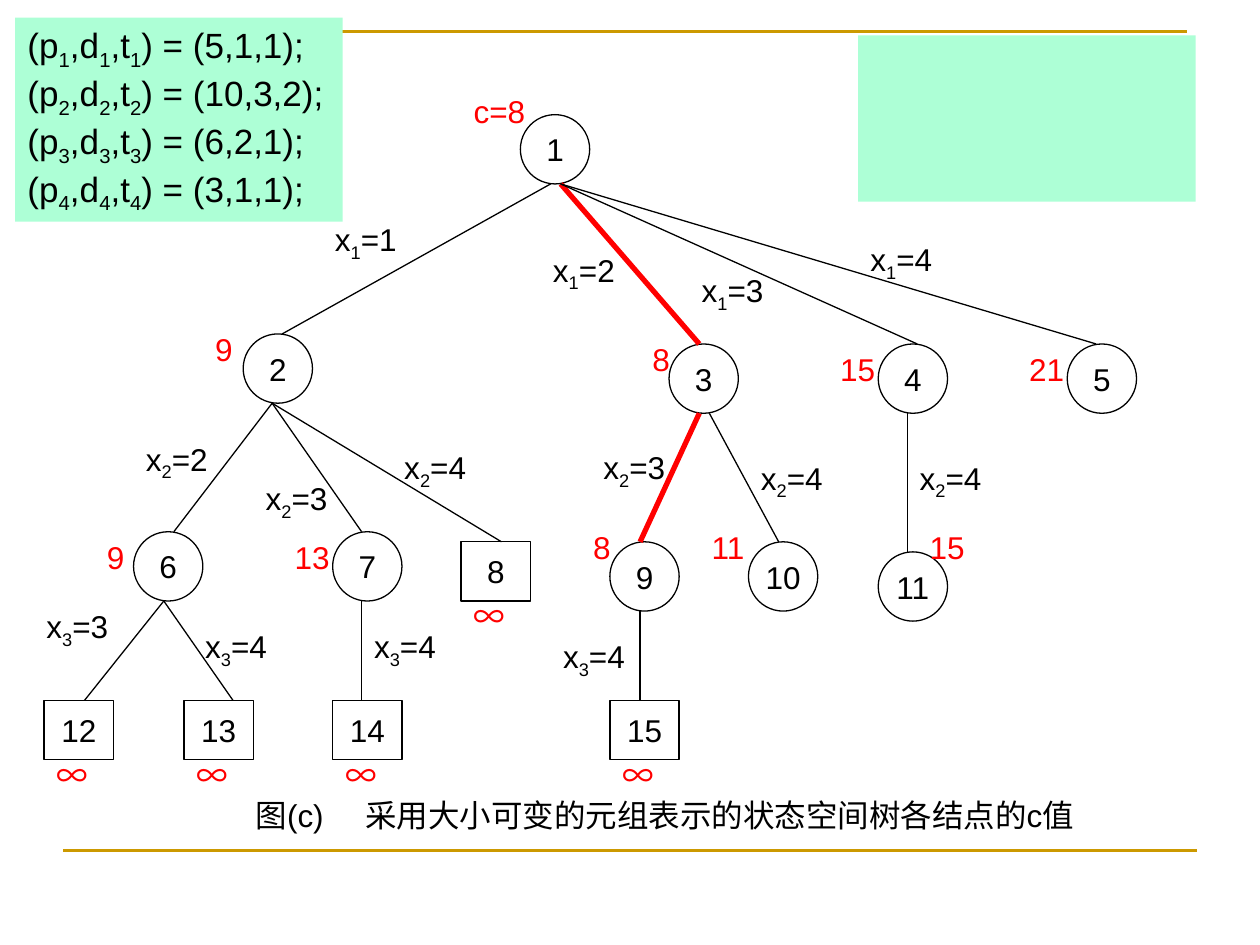
from lxml.etree import SubElement
from pptx import Presentation
from pptx.dml.color import RGBColor
from pptx.enum.shapes import MSO_CONNECTOR as LINK, MSO_SHAPE as SHAPE
from pptx.enum.text import MSO_ANCHOR as ANCHOR, PP_ALIGN as ALIGN
from pptx.oxml.ns import qn
from pptx.util import Inches, Pt

BLACK = RGBColor(0x00, 0x00, 0x00)
RED = RGBColor(0xFF, 0x00, 0x00)
GOLD = RGBColor(0xCC, 0x99, 0x00)
MINT = RGBColor(0xAD, 0xFF, 0xD6)
LATIN, CJK = "Arial", "Noto Sans CJK SC"
SIZE, CIRCLE_H, SQUARE_H = 0.55, 0.55, 0.47

# number: (left, top)
CIRCLES = {
    1: (4.13, 0.91), 2: (1.93, 2.65), 3: (5.31, 2.73), 4: (6.97, 2.73),
    5: (8.47, 2.73), 6: (1.06, 4.22), 7: (2.64, 4.22), 9: (4.84, 4.3),
    10: (5.94, 4.3), 11: (6.97, 4.38),
}
SQUARES = {
    8: (3.66, 4.3), 12: (0.35, 5.56), 13: (1.46, 5.56),
    14: (2.64, 5.56), 15: (4.84, 5.56),
}
# parent, child, x at parent, x at child, label, label left, label top
EDGES = [
    (1, 2, 4.37, 2.24, "x_1=1", 2.56, 1.7),
    (1, 3, 4.45, 5.55, "x_1=2", 4.29, 1.94),
    (1, 4, 4.45, 7.28, "x_1=3", 5.47, 2.1),
    (1, 5, 4.45, 8.7, "x_1=4", 6.81, 1.86),
    (2, 6, 2.16, 1.38, "x_2=2", 1.06, 3.44),
    (2, 7, 2.16, 2.87, "x_2=3", 2.01, 3.75),
    (2, 8, 2.16, 3.98, "x_2=4", 3.11, 3.51),
    (3, 9, 5.55, 5.08, "x_2=3", 4.69, 3.51),
    (3, 10, 5.63, 6.18, "x_2=4", 5.94, 3.59),
    (4, 11, 7.2, 7.2, "x_2=4", 7.2, 3.59),
    (6, 12, 1.3, 0.67, "x_3=3", 0.27, 4.77),
    (6, 13, 1.3, 1.85, "x_3=4", 1.53, 4.93),
    (7, 14, 2.87, 2.87, "x_3=4", 2.87, 4.93),
    (9, 15, 5.08, 5.08, "x_3=4", 4.37, 5.01),
]
BEST = {(1, 3), (3, 9)}
# cost, left, top, width
COSTS = [
    ("c=8", 3.66, 0.68, 0.79), ("9", 1.61, 2.57, 0.55),
    ("8", 5.08, 2.65, 0.83), ("15", 6.57, 2.73, 0.59),
    ("21", 8.07, 2.73, 0.59), ("9", 0.75, 4.22, 0.55),
    ("13", 2.24, 4.22, 0.83), ("8", 4.61, 4.14, 0.83),
    ("11", 5.55, 4.14, 0.83), ("15", 7.28, 4.14, 0.83),
]
JOBS = ["(5,1,1)", "(10,3,2)", "(6,2,1)", "(3,1,1)"]


def write(para, text, size=18, color=BLACK, face=LATIN):
    """Fill a paragraph; the character after each underscore is a subscript."""
    first, *rest = text.split("_")
    parts = [(first, False)]
    for part in rest:
        parts += [(part[0], True), (part[1:], False)]
    for words, sub in parts:
        run = para.add_run()
        run.text = words
        run.font.size, run.font.name = Pt(size), face
        run.font.color.rgb = color
        props = run._r.get_or_add_rPr()
        SubElement(props, qn("a:ea")).set("typeface", CJK)
        if sub:
            props.set("baseline", "-25000")


def add_text(slide, text, x, y, w, h=0.4, **style):
    box = slide.shapes.add_textbox(Inches(x), Inches(y), Inches(w), Inches(h))
    box.text_frame.word_wrap = True
    para = box.text_frame.paragraphs[0]
    write(para, text, **style)
    return para


def add_line(slide, x1, y1, x2, y2, color=BLACK, width=0.75):
    ends = [Inches(n) for n in (x1, y1, x2, y2)]
    line = slide.shapes.add_connector(LINK.STRAIGHT, *ends)
    line.line.color.rgb, line.line.width = color, Pt(width)
    SubElement(line._element.spPr, qn("a:effectLst"))


def add_node(slide, num, kind, x, y, h):
    node = slide.shapes.add_shape(
        kind, Inches(x), Inches(y), Inches(SIZE), Inches(h))
    node.shadow.inherit = False
    node.fill.background()
    node.line.color.rgb, node.line.width = BLACK, Pt(0.75)
    frame = node.text_frame
    frame.word_wrap, frame.vertical_anchor = False, ANCHOR.MIDDLE
    frame.paragraphs[0].alignment = ALIGN.CENTER
    write(frame.paragraphs[0], str(num))


def add_rules(slide, x, y, w, h):
    """Draw the gold corner at the top and the gold line at the bottom."""
    pen = slide.shapes.build_freeform(Inches(x), Inches(y + 0.67))
    pen.add_line_segments(
        [(Inches(x), Inches(y)), (Inches(x + w), Inches(y))], close=False)
    corner = pen.convert_to_shape()
    corner.shadow.inherit = False
    corner.fill.background()
    corner.line.color.rgb, corner.line.width = GOLD, Pt(1.5)
    add_line(slide, x + 0.08, y + h, x + w + 0.08, y + h, GOLD, 1.5)


def add_tree(slide, x, y):
    tops, feet = {}, {}
    for group, kind, h in ((CIRCLES, SHAPE.OVAL, CIRCLE_H),
                           (SQUARES, SHAPE.RECTANGLE, SQUARE_H)):
        for num, (left, top) in group.items():
            add_node(slide, num, kind, x + left, y + top, h)
            tops[num], feet[num] = y + top, y + top + h
    for start, end, x1, x2, label, left, top in EDGES:
        color, width = (RED, 3) if (start, end) in BEST else (BLACK, 0.75)
        add_line(slide, x + x1, feet[start], x + x2, tops[end], color, width)
        add_text(slide, label, x + left, y + top, 0.79, 0.44)
    for cost, left, top, w in COSTS:
        add_text(slide, cost, x + left, y + top, w, color=RED)
    for num, (left, top) in SQUARES.items():
        add_text(slide, "∞", x + left, feet[num] - 0.08, 0.63,
                 color=RED, face=CJK)


def add_caption(slide, x, y, w):
    para = add_text(
        slide, "图(c)\t采用大小可变的元组表示的状态空间树各结点的c值", x, y, w)
    stops = SubElement(para._p.get_or_add_pPr(), qn("a:tabLst"))
    stop = SubElement(stops, qn("a:tab"))
    stop.set("pos", str(Inches(0.87)))
    stop.set("algn", "l")


def add_panel(slide, x, y, w, h, jobs=()):
    panel = slide.shapes.add_shape(
        SHAPE.RECTANGLE, Inches(x), Inches(y), Inches(w), Inches(h))
    panel.shadow.inherit = False
    panel.fill.solid()
    panel.fill.fore_color.rgb = MINT
    panel.line.fill.background()
    frame = panel.text_frame
    frame.word_wrap, frame.vertical_anchor = True, ANCHOR.TOP
    for n, job in enumerate(jobs, 1):
        para = frame.paragraphs[0] if n == 1 else frame.add_paragraph()
        para.alignment = ALIGN.LEFT
        write(para, f"(p_{n},d_{n},t_{n}) = {job};", size=20)


def main():
    deck = Presentation()
    deck.slide_width, deck.slide_height = Inches(10), Inches(7.5)
    slide = deck.slides.add_slide(deck.slide_layouts[6])
    add_rules(slide, 0.42, 0.25, 9, 6.5)
    add_tree(slide, 0, 0)
    add_caption(slide, 1.93, 6.27, 7.09)
    add_panel(slide, 6.81, 0.28, 2.68, 1.32)
    add_panel(slide, 0.12, 0.14, 2.6, 1.62, JOBS)
    deck.save("out.pptx")


if __name__ == "__main__":
    main()
